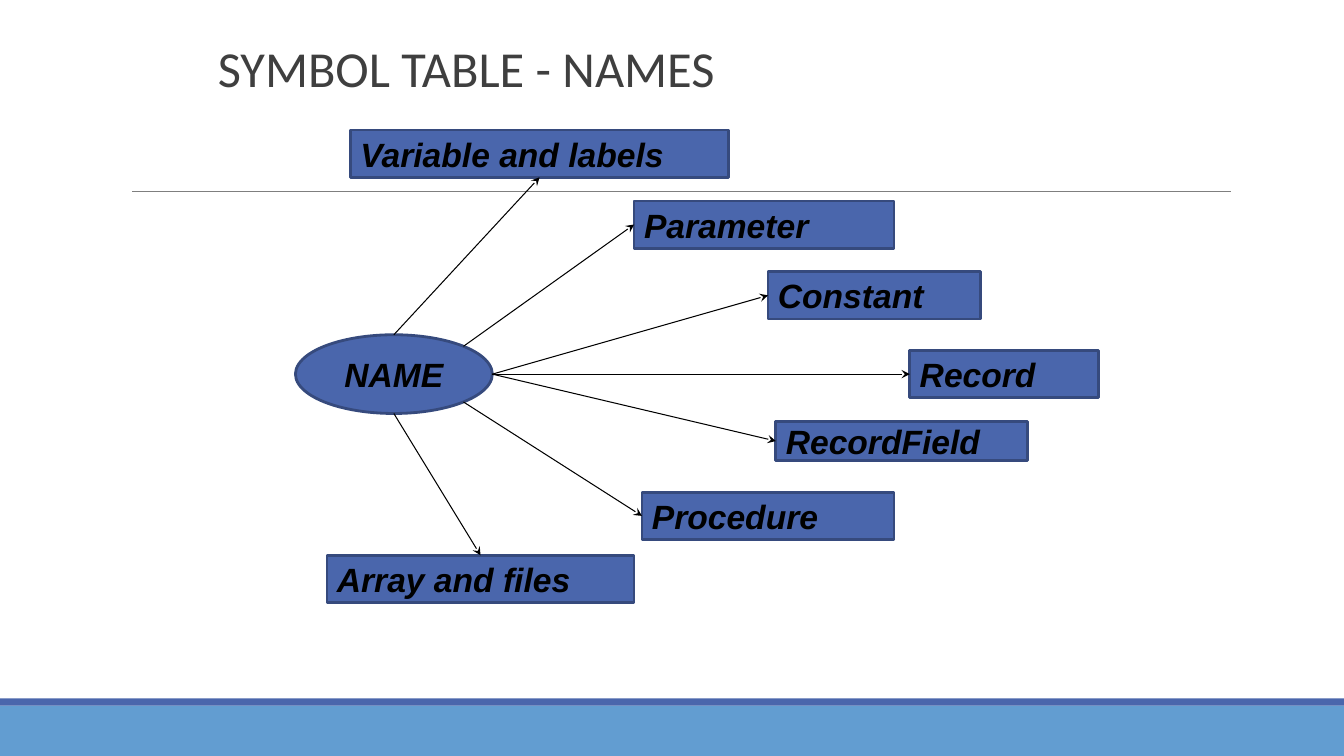
import math
import lxml.etree
import pptx
import pptx.util
import pptx.dml.color
import pptx.enum.shapes
import pptx.enum.text
import pptx.oxml.ns

Inches = pptx.util.Inches
Pt = pptx.util.Pt
RGBColor = pptx.dml.color.RGBColor
SHAPES = pptx.enum.shapes.MSO_SHAPE
ALIGN = pptx.enum.text.PP_ALIGN
ANCHOR = pptx.enum.text.MSO_ANCHOR

INDIGO = RGBColor(0x4A, 0x66, 0xAC)
NAVY = RGBColor(0x36, 0x4A, 0x7D)
SKY = RGBColor(0x62, 0x9D, 0xD1)
GREY = RGBColor(0x7F, 0x7F, 0x7F)
CHARCOAL = RGBColor(0x3F, 0x3F, 0x3F)
BLACK = RGBColor(0, 0, 0)

WIDTH, HEIGHT = 13.33, 7.5
UNIT = 1 / 12.8
DIAGRAM_LEFT, DIAGRAM_TOP = 2.93, 1.29
TOP, LEFT = 0, 1

NAME_OVAL = (0, 26, 25, 10)
KINDS = [
    ("Variable and labels", (7, 0, 48, 6), 90, TOP + 2),
    ("Parameter", (43, 9, 33, 6), 45, LEFT),
    ("Constant", (60, 18, 27, 6), 0, LEFT),
    ("Record", (78, 28, 24, 6), 0, LEFT),
    ("RecordField", (61, 37, 32, 5), 0, LEFT),
    ("Procedure", (44, 46, 32, 6), -45, LEFT),
    ("Array and files", (4, 54, 39, 6), -90, TOP),
]

LABEL_FONT = {"name": "Arial", "size": Pt(24), "bold": True, "italic": True}
TITLE_FONT = {"name": "Calibri", "size": Pt(36)}


def apply_format(target, values):
    for name, value in values.items():
        setattr(target, name, value)


def grid_point(column, row):
    return Inches(DIAGRAM_LEFT + column * UNIT), Inches(DIAGRAM_TOP + row * UNIT)


def add_band(page, top, height, color):
    band = page.shapes.add_shape(
        SHAPES.RECTANGLE, 0, Inches(top), Inches(WIDTH), Inches(height))
    band.shadow.inherit = False
    band.fill.solid()
    band.fill.fore_color.rgb = color
    band.line.fill.background()


def add_node(page, kind, cells, text, alignment):
    column, row, columns, rows = cells
    node = page.shapes.add_shape(
        kind, *grid_point(column, row), Inches(columns * UNIT), Inches(rows * UNIT))
    node.shadow.inherit = False
    node.fill.solid()
    node.fill.fore_color.rgb = INDIGO
    node.line.color.rgb = NAVY
    node.line.width = Pt(2)
    node.text_frame.vertical_anchor = ANCHOR.MIDDLE
    para = node.text_frame.paragraphs[0]
    para.alignment = alignment
    span = para.add_run()
    span.text = text
    apply_format(span.font, LABEL_FONT)
    span.font.color.rgb = BLACK
    return node


def add_line(page, begin, end, color):
    line = page.shapes.add_connector(
        pptx.enum.shapes.MSO_CONNECTOR.STRAIGHT, *begin, *end)
    line.line.color.rgb = color
    line.line.width = Pt(0.75)
    lxml.etree.SubElement(
        line._element.spPr, pptx.oxml.ns.qn("a:effectLst"))
    return line


def add_arrow(page, angle, target, side):
    column, row, columns, rows = NAME_OVAL
    turn = math.radians(angle)
    begin = grid_point(column + columns / 2 * (1 + math.cos(turn)),
                       row + rows / 2 * (1 - math.sin(turn)))
    arrow = add_line(page, begin, begin, BLACK)
    arrow.end_connect(target, side)
    lxml.etree.SubElement(
        arrow.line._get_or_add_ln(), pptx.oxml.ns.qn("a:tailEnd"), type="stealth")


def format_title(page, text):
    title = page.shapes.title
    apply_format(title, {"left": Inches(2.06), "top": Inches(0.44),
                         "width": Inches(10.06), "height": Inches(0.58)})
    apply_format(title.text_frame, {
        "text": text, "word_wrap": True, "vertical_anchor": ANCHOR.BOTTOM,
        "auto_size": pptx.enum.text.MSO_AUTO_SIZE.NONE})
    para = title.text_frame.paragraphs[0]
    apply_format(para, {"alignment": ALIGN.LEFT, "line_spacing": 0.85})
    span = para.runs[0]
    apply_format(span.font, TITLE_FONT)
    span.font.color.rgb = CHARCOAL


def main():
    deck = pptx.Presentation()
    deck.slide_width, deck.slide_height = Inches(WIDTH), Inches(HEIGHT)
    page = deck.slides.add_slide(deck.slide_layouts[5])
    add_band(page, 7, 0.5, SKY)
    add_band(page, 6.93, 0.07, INDIGO)
    add_line(page, (Inches(1.31), Inches(1.9)), (Inches(12.21), Inches(1.9)), GREY)
    format_title(page, "SYMBOL TABLE - NAMES")
    add_node(page, SHAPES.OVAL, NAME_OVAL, "NAME", ALIGN.CENTER)
    for text, cells, angle, side in KINDS:
        box = add_node(page, SHAPES.RECTANGLE, cells, text, ALIGN.LEFT)
        add_arrow(page, angle, box, side)
    deck.save("out.pptx")


if __name__ == "__main__":
    main()
